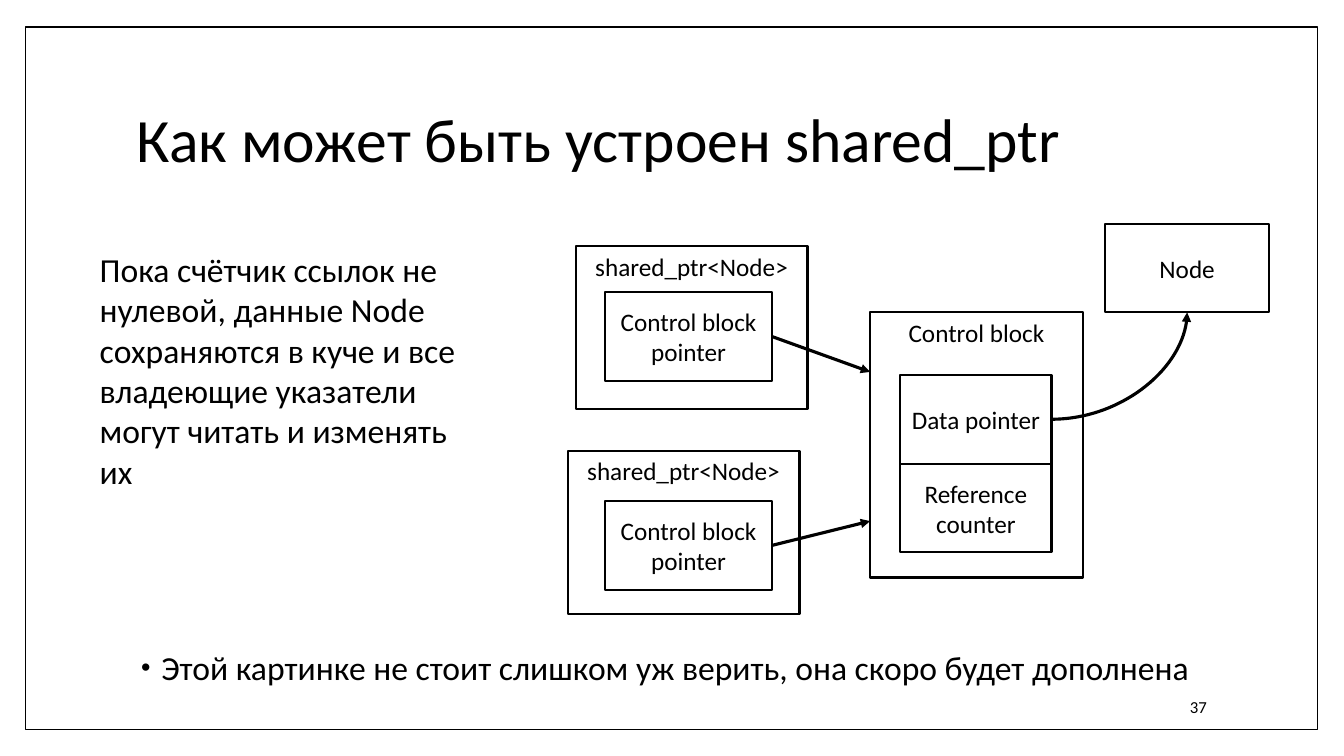
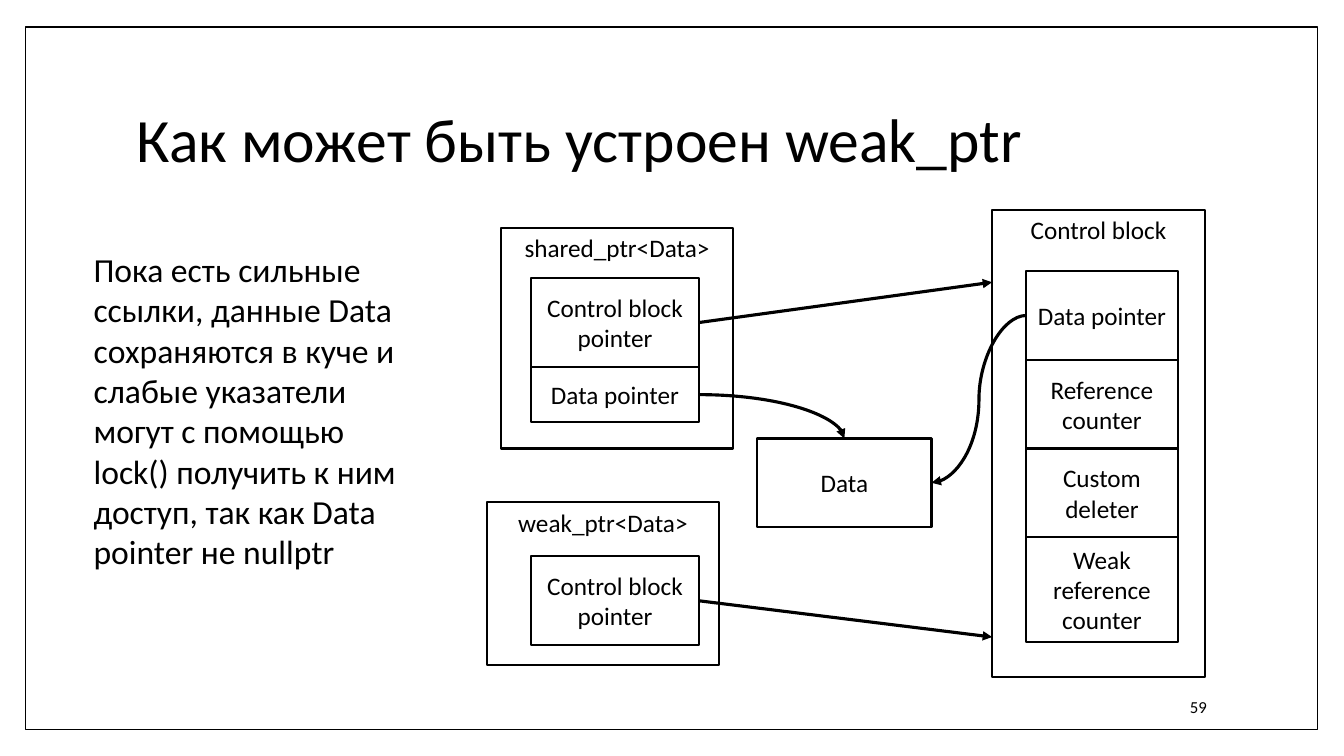
from lxml import etree
from pptx import Presentation
from pptx.dml.color import RGBColor
from pptx.enum.shapes import MSO_CONNECTOR as Connector, MSO_SHAPE as Shape
from pptx.enum.text import MSO_ANCHOR as Anchor, MSO_AUTO_SIZE as AutoSize, PP_ALIGN as Align
from pptx.oxml.ns import qn
from pptx.util import Inches, Pt

FONT = "Calibri"
BLACK, WHITE = "000000", "FFFFFF"
TITLE_AND_BODY, TITLE_ONLY = 1, 5
TOP, LEFT, RIGHT = 0, 1, 3  # connection sites of a rectangle
POINTER_W, ROW_H = 1.66, 0.88
HOLDER_W, HOLDER_H = 2.3, 1.62
BLOCK_W, FIELD_W = 2.11, 1.5


def rgb(color):
    return RGBColor.from_string(color)


def place(shape, left, top, width, height):
    shape.left, shape.top = Inches(left), Inches(top)
    shape.width, shape.height = Inches(width), Inches(height)


def bullet(p):
    pPr = p._p.get_or_add_pPr()
    pPr.set("marL", str(Inches(0.25)))
    pPr.set("indent", str(Inches(-0.2)))
    etree.SubElement(pPr, qn("a:buSzPct")).set("val", "80000")
    etree.SubElement(pPr, qn("a:buFont")).set("typeface", "Arial")
    etree.SubElement(pPr, qn("a:buChar")).set("char", "•")


def write(shape, text, size=18, align=Align.LEFT, anchor=Anchor.TOP, spacing=None, bulleted=False):
    tf = shape.text_frame
    tf.word_wrap = True
    tf.auto_size = AutoSize.NONE
    tf.vertical_anchor = anchor
    p = tf.paragraphs[0]
    p.alignment = align
    p.space_before = Pt(0)
    if spacing:
        p.line_spacing = spacing
    if bulleted:
        bullet(p)
    r = p.add_run()
    r.text = text
    r.font.name, r.font.size = FONT, Pt(size)
    r.font.color.rgb = rgb(BLACK)


def add_text(s, text, left, top, width, height, **style):
    write(s.shapes.add_textbox(*map(Inches, (left, top, width, height))), text, **style)


def add_box(s, left, top, width, height, text="", fill=WHITE, line=1.5, anchor=Anchor.MIDDLE):
    sp = s.shapes.add_shape(Shape.RECTANGLE, *map(Inches, (left, top, width, height)))
    sp.shadow.inherit = False
    if fill:
        sp.fill.solid()
        sp.fill.fore_color.rgb = rgb(fill)
    else:
        sp.fill.background()
    sp.line.color.rgb = rgb(BLACK)
    sp.line.width = Pt(line)
    if text:
        write(sp, text, align=Align.CENTER, anchor=anchor)
    return sp


def add_holder(s, name, left, top, width=HOLDER_W, height=HOLDER_H):
    add_box(s, left, top, width, height, name, fill=None, anchor=Anchor.TOP)


def add_fields(s, left, top, width, *fields):
    """Stack (text, height) fields downwards and return their boxes."""
    boxes = []
    for text, height in fields:
        boxes.append(add_box(s, left, top, width, height, text))
        top += height
    return boxes


def site_point(sp, site):
    if site == TOP:
        return sp.left + sp.width // 2, sp.top
    return sp.left + (sp.width if site == RIGHT else 0), sp.top + sp.height // 2


def add_arrow(s, start, start_site, end, end_site=None, preset=None):
    """Join a box to another box's site, or to an (x, y) point in inches."""
    target = map(Inches, end) if end_site is None else site_point(end, end_site)
    kind = Connector.CURVE if preset else Connector.STRAIGHT
    c = s.shapes.add_connector(kind, *site_point(start, start_site), *target)
    c.begin_connect(start, start_site)
    if end_site is not None:
        c.end_connect(end, end_site)
    if preset:
        c.element.xpath(".//a:prstGeom")[0].set("prst", preset)
    c.line.color.rgb = rgb(BLACK)
    c.line.width = Pt(2.25)
    etree.SubElement(c.element.xpath(".//a:ln")[0], qn("a:tailEnd")).set("type", "triangle")
    etree.SubElement(c.element.spPr, qn("a:effectLst"))


def add_master_frame(prs, s):
    """Draw the page frame and move it to the back of the master."""
    frame = add_box(s, 0.25, 0.27, 12.82, 6.97, line=1)
    frame.element.xpath("./p:nvSpPr/p:cNvPr")[0].set("id", "99")
    prs.slide_master.shapes.element.insert(2, frame.element)


def new_slide(prs, layout, title, number):
    s = prs.slides.add_slide(prs.slide_layouts[layout])
    place(s.shapes.title, 1.25, 0.67, 10.8, 1.48)
    write(s.shapes.title, title, size=44, anchor=Anchor.MIDDLE, spacing=0.9)
    add_text(s, number, 10.2, 6.81, 1.87, 0.4, size=12, align=Align.RIGHT, anchor=Anchor.MIDDLE)
    return s


def shared_ptr_slide(prs):
    s = new_slide(prs, TITLE_AND_BODY, "Как может быть устроен shared_ptr", "37")
    body = s.placeholders[1]
    place(body, 1.25, 6.41, 11.12, 0.55)
    write(body, "Этой картинке не стоит слишком уж верить, она скоро будет дополнена",
          size=24, spacing=0.9, bulleted=True)
    add_text(s, "Пока счётчик ссылок не нулевой, данные Node сохраняются в куче и все "
             "владеющие указатели могут читать и изменять их", 0.89, 2.42, 3.75, 2.52, size=24)

    add_holder(s, "Control block", 8.63, 3.1, BLOCK_W, 2.63)
    data, _ = add_fields(s, 8.93, 3.72, FIELD_W, ("Data pointer", ROW_H), ("Reference counter", ROW_H))
    node = add_box(s, 10.96, 2.22, 1.63, ROW_H, "Node")
    add_arrow(s, data, RIGHT, node, TOP + 2, "curvedConnector2")

    for left, top, pointer_top, arrow_y in ((5.71, 2.44, 2.9, 3.69), (5.63, 4.47, 4.97, 5.17)):
        add_holder(s, "shared_ptr<Node>", left, top)
        pointer = add_box(s, 6, pointer_top, POINTER_W, ROW_H, "Control block pointer")
        add_arrow(s, pointer, RIGHT, (8.63, arrow_y))
    return s


def weak_ptr_slide(prs):
    s = new_slide(prs, TITLE_ONLY, "Как может быть устроен weak_ptr", "59")
    add_text(s, "Пока есть сильные ссылки, данные Data сохраняются в куче и слабые указатели "
             "могут с помощью lock() получить к ним доступ, так как Data pointer не nullptr",
             0.83, 2.42, 3.31, 3.33, size=24)

    add_holder(s, "Control block", 9.84, 2.08, BLOCK_W, 4.64)
    block_data, *_ = add_fields(
        s, 10.18, 2.69, FIELD_W, ("Data pointer", ROW_H), ("Reference counter", ROW_H),
        ("Custom deleter", ROW_H), ("Weak reference counter", 1.04))
    data = add_box(s, 7.51, 4.35, 1.73, ROW_H, "Data")

    add_holder(s, "shared_ptr<Data>", 4.97, 2.26, height=2.19)
    shared_block, shared_data = add_fields(
        s, 5.27, 2.76, POINTER_W, ("Control block pointer", ROW_H), ("Data pointer", 0.55))
    add_holder(s, "weak_ptr<Data>", 4.83, 4.98)
    weak_block = add_box(s, 5.27, 5.52, POINTER_W, ROW_H, "Control block pointer")

    add_arrow(s, shared_block, RIGHT, (9.84, 2.8))
    add_arrow(s, weak_block, RIGHT, (9.84, 6.32))
    add_arrow(s, shared_data, RIGHT, data, TOP, "curvedConnector2")
    add_arrow(s, block_data, LEFT, data, RIGHT, "curvedConnector3")


def main():
    prs = Presentation()
    prs.slide_width, prs.slide_height = Inches(13.33), Inches(7.5)
    add_master_frame(prs, shared_ptr_slide(prs))
    weak_ptr_slide(prs)
    prs.save("out.pptx")


if __name__ == "__main__":
    main()
